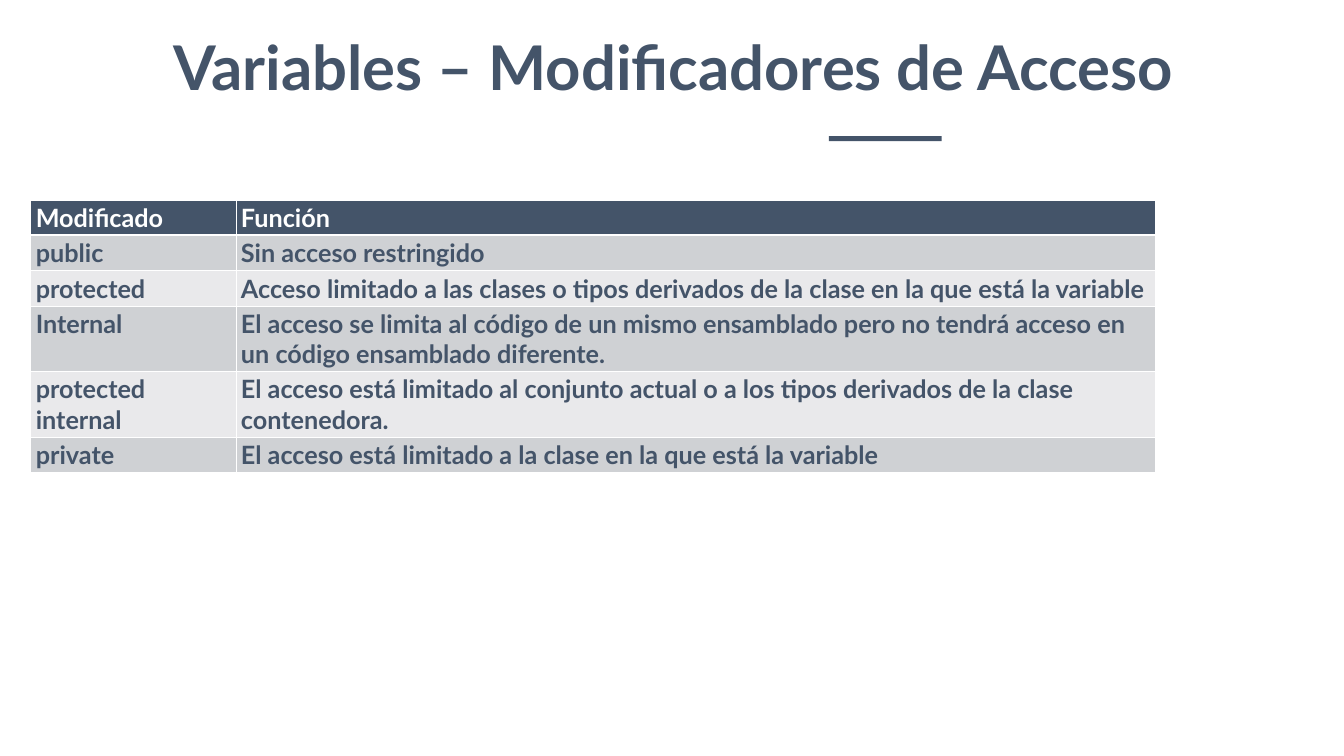
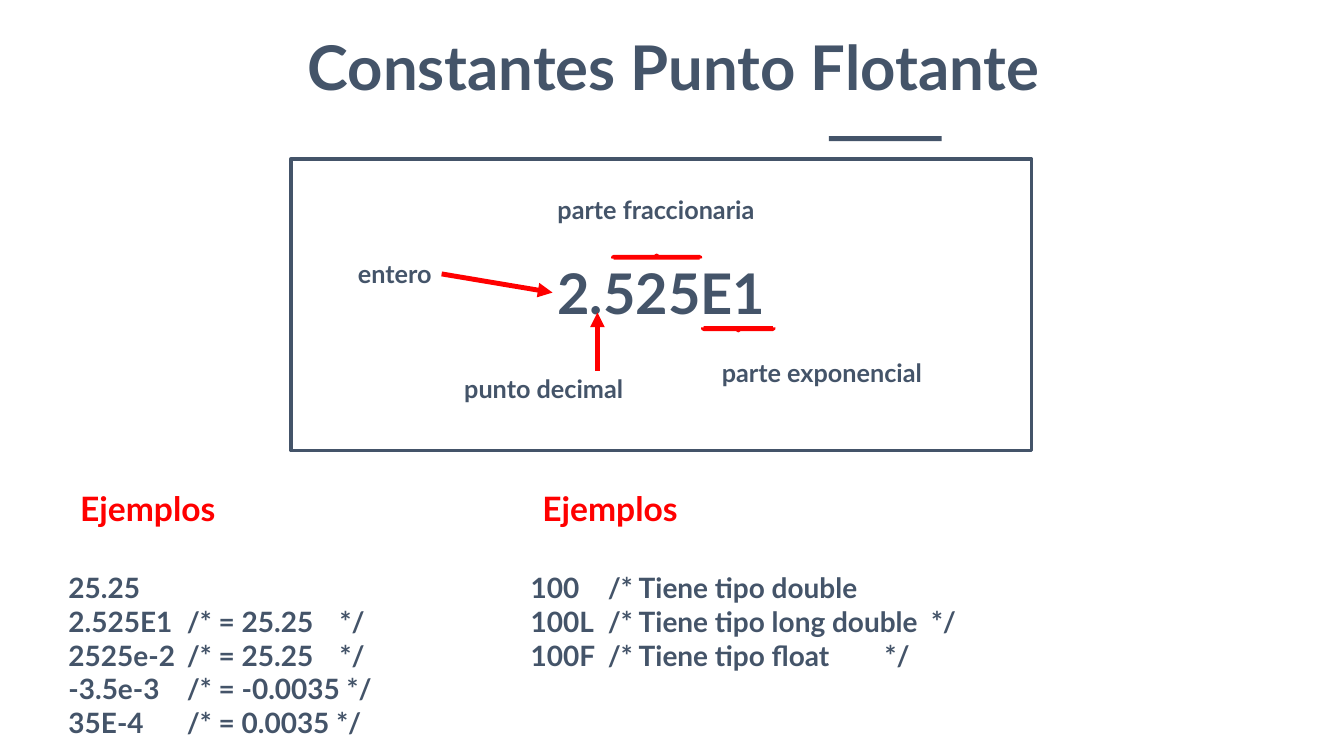
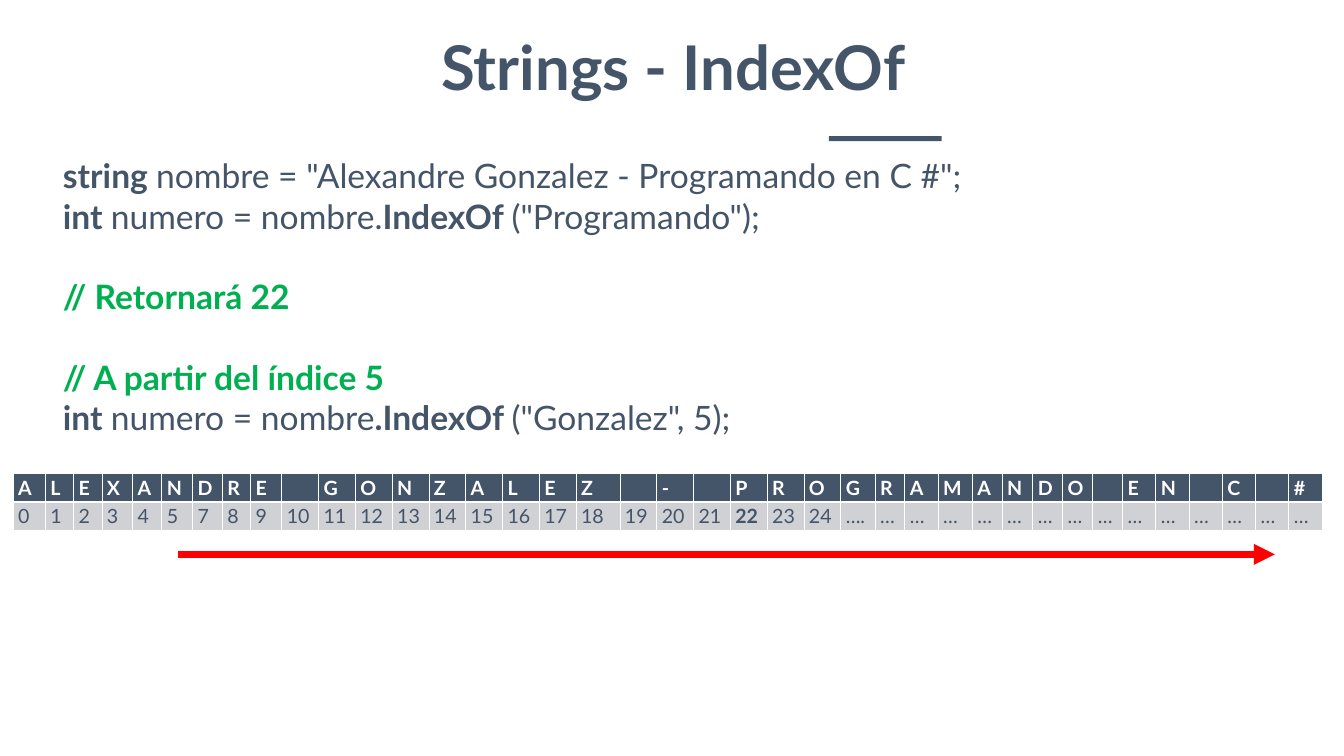
from dataclasses import dataclass

from lxml.etree import SubElement
from pptx import Presentation
from pptx.dml.color import RGBColor as RGB
from pptx.enum.shapes import MSO_CONNECTOR as Connector, MSO_SHAPE as Shape
from pptx.enum.text import MSO_ANCHOR as Anchor, MSO_AUTO_SIZE as AutoSize, PP_ALIGN as Align
from pptx.oxml.ns import qn
from pptx.util import Inches, Pt


@dataclass(frozen=True)
class Theme:
    font: str = "Lato"
    navy: str = "445469"
    red: str = "FF0000"
    green: str = "00B050"
    white: str = "FFFFFF"
    bands: tuple = ("CFD1D4", "E9E9EB")
    title: int = 88
    number: int = 80
    code: int = 48
    example: int = 40
    label: int = 36
    index: int = 28


THEME = Theme()
TITLE_ONLY = 5
LEFT, RIGHT = 1, 3

MODIFIERS = [
    ("Modificado", "Función"),
    ("public", "Sin acceso restringido"),
    ("protected", "Acceso limitado a las clases o tipos derivados de la clase "
                  "en la que está la variable"),
    ("Internal", "El acceso se limita al código de un mismo ensamblado pero no "
                 "tendrá acceso en un código ensamblado diferente."),
    ("protected internal", "El acceso está limitado al conjunto actual o a los tipos "
                           "derivados de la clase contenedora."),
    ("private", "El acceso está limitado a la clase en la que está la variable"),
]

# Box left, tab stops in inches, lines of code
EXAMPLES = [
    (1.26, (2.35, 5.38), [
        "25.25",
        "2.525E1\t/* = 25.25\t*/",
        "2525e-2\t/* = 25.25\t*/",
        "-3.5e-3\t/* = -0.0035 */",
        "35E-4\t/* = 0.0035 */",
    ]),
    (10.43, (1.53, 7.02, 7.94), [
        "100\t/* Tiene tipo double",
        "100L\t/* Tiene tipo long double\t*/",
        "100F\t/* Tiene tipo float\t*/",
    ]),
]

# Each line: whether a gap comes before it, then (text, bold, colour) runs
INDEX_OF_CODE = [
    (False, [("string ", True, THEME.navy),
             ('nombre = "Alexandre Gonzalez - Programando en C #";', False, THEME.navy)]),
    (False, [("int ", True, THEME.navy), ("numero = nombre.", False, THEME.navy),
             ("IndexOf ", True, THEME.navy), ('("Programando");', False, THEME.navy)]),
    (True, [("// Retornará 22", True, THEME.green)]),
    (True, [("// A partir del índice 5", True, THEME.green)]),
    (False, [("int ", True, THEME.navy), ("numero = nombre", False, THEME.navy),
             (".IndexOf ", True, THEME.navy), ('("Gonzalez", 5);', False, THEME.navy)]),
]

LETTERS = "ALEXANDRE GONZALEZ - PROGRAMANDO EN C #"
INDEXES = [str(n) for n in range(25) if n != 6] + ["…."] + ["…"] * 14
LETTER_WIDTHS = ([0.64, 0.56, 0.56, 0.61, 0.58, 0.61, 0.59, 0.56, 0.62]
                 + [0.73] * 8 + [0.87] + [0.73] * 6
                 + [0.68, 0.59, 0.66, 0.68, 0.59, 0.61, 0.59, 0.6, 0.59]
                 + [0.66] * 6)


def add_run(para, text, size, color=THEME.navy, bold=True):
    run = para.add_run()
    run.text = text
    run.font.name = THEME.font
    run.font.size = Pt(size)
    run.font.bold = bold
    run.font.color.rgb = RGB.from_string(color)


def next_para(frame, position):
    return frame.add_paragraph() if position else frame.paragraphs[0]


def add_box(slide, left, top, width, height):
    box = slide.shapes.add_textbox(*map(Inches, (left, top, width, height)))
    box.text_frame.word_wrap = True
    return box


def add_label(slide, text, left, top, width, height=0.71, size=THEME.label, color=THEME.navy):
    box = add_box(slide, left, top, width, height)
    add_run(box.text_frame.paragraphs[0], text, size, color)
    return box


def add_figure(slide, kind, left, top, width, height, fill=None, line=None, weight=0):
    figure = slide.shapes.add_shape(kind, *map(Inches, (left, top, width, height)))
    figure.shadow.inherit = False
    if fill:
        figure.fill.solid()
        figure.fill.fore_color.rgb = RGB.from_string(fill)
    else:
        figure.fill.background()
    if line:
        figure.line.color.rgb = RGB.from_string(line)
        figure.line.width = Pt(weight)
    else:
        figure.line.fill.background()
    return figure


def add_brace(slide, left, top, length, mirrored=False):
    """Add a flat brace, turned to lie along the number."""
    brace = add_figure(slide, Shape.LEFT_BRACE, left, top, 0.05, length,
                       line=THEME.red, weight=7)
    brace.rotation = 90
    if mirrored:
        brace._element.spPr.find(qn("a:xfrm")).set("flipH", "1")


def add_arrow(slide, start, end, weight=7):
    arrow = slide.shapes.add_connector(Connector.STRAIGHT, *map(Inches, (*start, *end)))
    arrow.line.color.rgb = RGB.from_string(THEME.red)
    arrow.line.width = Pt(weight)
    SubElement(arrow.line._get_or_add_ln(), qn("a:tailEnd"), type="triangle")
    SubElement(arrow._element.spPr, qn("a:effectLst"))
    return arrow


def add_titled_slide(deck, title):
    slide = deck.slides.add_slide(deck.slide_layouts[TITLE_ONLY])
    holder = slide.shapes.title
    holder.left, holder.top, holder.width, holder.height = map(Inches, (0.26, 0.53, 26.2, 1.58))
    frame = holder.text_frame
    frame.auto_size = AutoSize.NONE
    frame.vertical_anchor = Anchor.TOP
    frame.paragraphs[0].alignment = Align.CENTER
    add_run(frame.paragraphs[0], title, THEME.title)
    add_figure(slide, Shape.RECTANGLE, 16.44, 2.7, 2.24, 0.1, fill=THEME.navy)
    return slide


def style_cell(cell, fill, is_header):
    """Give the cell white borders, heavier under the header, and a fill."""
    properties = cell._tc.get_or_add_tcPr()
    for side in "LRTB":
        weight = 3 if is_header and side == "B" else 1
        border = SubElement(properties, qn(f"a:ln{side}"), w=str(Pt(weight)))
        paint = SubElement(border, qn("a:solidFill"))
        SubElement(paint, qn("a:srgbClr"), val=THEME.white)
    cell.fill.solid()
    cell.fill.fore_color.rgb = RGB.from_string(fill)


def add_grid(slide, left, top, height, widths, rows, size, is_bold):
    """Add a table; is_bold tells from a body cell's text whether it is bold."""
    holder = slide.shapes.add_table(len(rows), len(widths), Inches(left), Inches(top),
                                    Inches(sum(widths)), Inches(height))
    table = holder.table
    for column, width in zip(table.columns, widths):
        column.width = Inches(width)
    for r, texts in enumerate(rows):
        table.rows[r].height = Inches(0.41)
        is_header = r == 0
        fill = THEME.navy if is_header else THEME.bands[(r - 1) % 2]
        color = THEME.white if is_header else THEME.navy
        for c, text in enumerate(texts):
            cell = table.cell(r, c)
            style_cell(cell, fill, is_header)
            if text.strip():
                add_run(cell.text_frame.paragraphs[0], text, size, color,
                        is_header or is_bold(text))
    holder.height = Inches(height)


def add_examples(slide, left, stops, lines):
    add_label(slide, "Ejemplos", left + 0.23, 9.63, 3.05, 0.91, THEME.code, THEME.red)
    box = add_box(slide, left, 11.28, stops[-1] + 1.4, 0.1 + 0.67 * len(lines))
    for position, line in enumerate(lines):
        para = next_para(box.text_frame, position)
        tabs = SubElement(para._p.get_or_add_pPr(), qn("a:tabLst"))
        for stop in stops:
            SubElement(tabs, qn("a:tab"), pos=str(Inches(stop)), algn="l")
        add_run(para, line, THEME.example)


def build_modifiers(deck):
    slide = add_titled_slide(deck, "Variables – Modificadores de Acceso")
    add_grid(slide, 0.61, 3.97, 6, [4.07, 18.23], MODIFIERS, THEME.label, lambda text: True)


def build_floating_point(deck):
    slide = add_titled_slide(deck, "Constantes Punto Flotante")
    for left, stops, lines in EXAMPLES:
        add_examples(slide, left, stops, lines)
    number = add_label(slide, "2.525E1", 10.96, 5.08, 4.37, 1.45, THEME.number)
    integer = add_label(slide, "entero", 7, 5.08, 1.76)
    add_label(slide, "punto decimal", 9.11, 7.36, 3.62)
    add_label(slide, "parte fraccionaria", 10.96, 3.81, 4.4)
    add_label(slide, "parte exponencial", 14.22, 7.04, 4.46)
    integer_arrow = add_arrow(slide, (8.76, 5.44), (10.96, 5.81))
    integer_arrow.begin_connect(integer, RIGHT)
    integer_arrow.end_connect(number, LEFT)
    add_arrow(slide, (11.85, 7.36), (11.85, 6.2))
    add_brace(slide, 13, 4.25, 1.71)
    add_brace(slide, 14.62, 5.83, 1.38, mirrored=True)
    add_figure(slide, Shape.RECTANGLE, 5.77, 3.15, 14.69, 5.79, line=THEME.navy, weight=5)


def build_index_of(deck):
    slide = add_titled_slide(deck, "Strings - IndexOf")
    box = add_box(slide, 1.15, 3.03, 18.71, 5.76)
    for position, (has_gap, runs) in enumerate(INDEX_OF_CODE):
        para = next_para(box.text_frame, position)
        if has_gap:
            para.space_before = Pt(1.2 * THEME.code)
        for text, bold, color in runs:
            add_run(para, text, THEME.code, color, bold)
    add_grid(slide, 0.26, 9.39, 1.13, LETTER_WIDTHS, [LETTERS, INDEXES], THEME.index,
             lambda text: text == "22")
    add_arrow(slide, (3.53, 11), (25.29, 11), weight=10)


def main():
    deck = Presentation()
    deck.slide_width, deck.slide_height = Inches(26.66), Inches(15)
    build_modifiers(deck)
    build_floating_point(deck)
    build_index_of(deck)
    deck.save("out.pptx")


if __name__ == "__main__":
    main()
